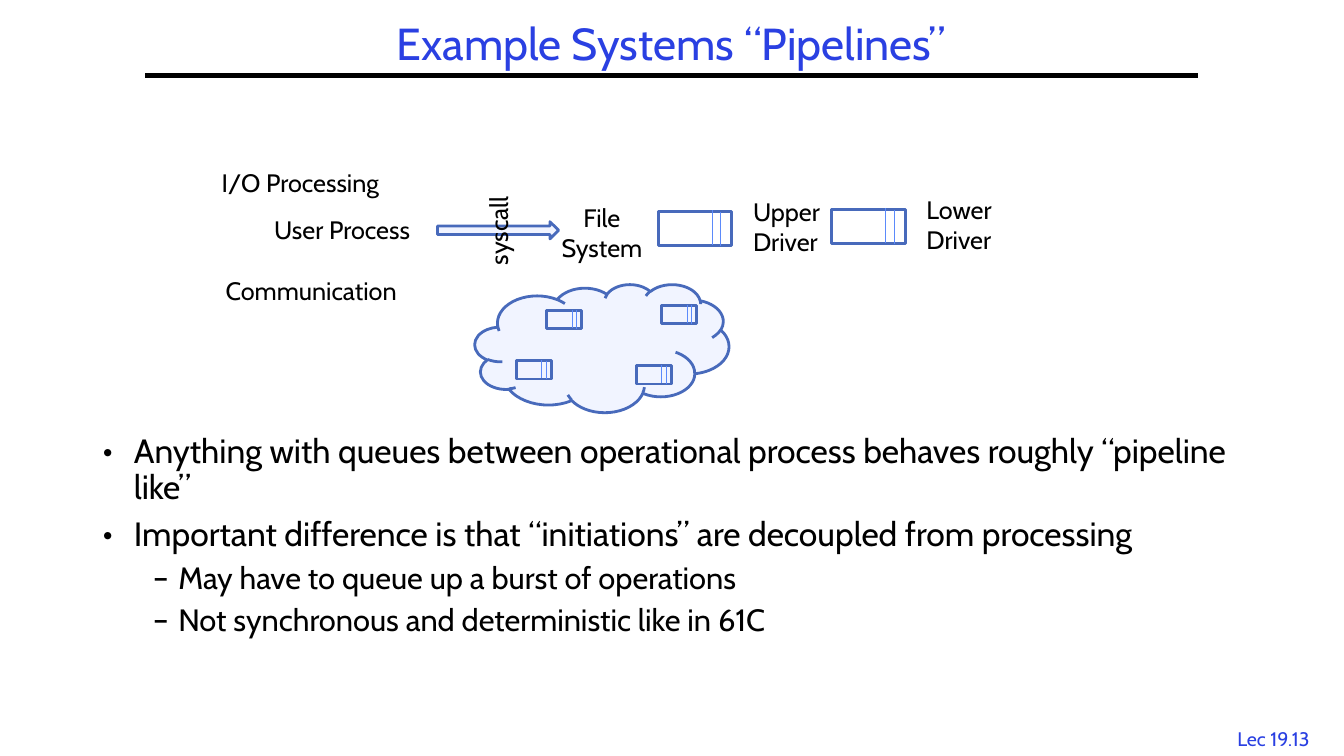
import dataclasses
import pptx
import pptx.dml.color
import pptx.enum.shapes
import pptx.enum.text
import pptx.oxml.ns
import pptx.util
from lxml import etree

Inches = pptx.util.Inches
Pt = pptx.util.Pt
Shape = pptx.enum.shapes.MSO_SHAPE
Align = pptx.enum.text.PP_ALIGN
Anchor = pptx.enum.text.MSO_ANCHOR
AutoSize = pptx.enum.text.MSO_AUTO_SIZE
qn = pptx.oxml.ns.qn


@dataclasses.dataclass(frozen=True)
class Theme:
    """Colours, font and type sizes of the slide."""
    font: str = "Cabin"
    accent: str = "2A40E2"
    ink: str = "000000"
    outline: str = "486ABB"
    divider: str = "5B8AFB"
    tint: str = "F1F4FF"
    title: int = 32
    point: int = 24
    subpoint: int = 22
    label: int = 18
    footer: int = 14


THEME = Theme()


def rgb(value):
    """Turn a hex string into a colour."""
    return pptx.dml.color.RGBColor.from_string(value)


def add_text(slide, box, text, size=THEME.label, color=THEME.ink, align=Align.LEFT,
             anchor=Anchor.TOP, wrap=False, grow=True, rotation=0):
    """Add a text box with one paragraph per line of text."""
    holder = slide.shapes.add_textbox(*map(Inches, box))
    holder.rotation = rotation
    frame = holder.text_frame
    frame.word_wrap = wrap
    frame.auto_size = AutoSize.SHAPE_TO_FIT_TEXT if grow else AutoSize.NONE
    frame.vertical_anchor = anchor
    for index, line in enumerate(text.split("\n")):
        paragraph = frame.paragraphs[0] if index == 0 else frame.add_paragraph()
        paragraph.alignment = align
        run = paragraph.add_run()
        run.text = line
        run.font.name = THEME.font
        run.font.size = Pt(size)
        run.font.color.rgb = rgb(color)
    return frame


def add_line(shapes, start, end, color, width):
    """Add a straight line without a shadow."""
    line = shapes.add_connector(pptx.enum.shapes.MSO_CONNECTOR.STRAIGHT,
                                *map(Inches, (*start, *end)))
    line.line.color.rgb = rgb(color)
    line.line.width = Pt(width)
    etree.SubElement(line._element.spPr, qn("a:effectLst"))


def add_outlined(shapes, kind, box, fill=None):
    """Add a preset shape with the diagram's outline."""
    shape = shapes.add_shape(kind, *map(Inches, box))
    shape.shadow.inherit = False
    if fill:
        shape.fill.solid()
        shape.fill.fore_color.rgb = rgb(fill)
    else:
        shape.fill.background()
    shape.line.color.rgb = rgb(THEME.outline)
    shape.line.width = Pt(2)


def add_queue(slide, box):
    """Add a queue: a box with two dividers near its right end."""
    left, top, width, height = box
    queue = slide.shapes.add_group_shape().shapes
    add_outlined(queue, Shape.RECTANGLE, box)
    for across, lift in ((0.85, 0), (0.73, 0.04)):
        x, y = left + across * width, top - lift * height
        add_line(queue, (x, y), (x, y + height), THEME.divider, 0.75)


def add_heading(slide, box):
    """Add the title and the rule below it."""
    left, top, width, height = box
    frame = add_text(slide, box, "Example Systems “Pipelines”", size=THEME.title,
                     color=THEME.accent, align=Align.CENTER, anchor=Anchor.MIDDLE,
                     wrap=True, grow=False)
    frame.paragraphs[0].line_spacing = 0.9
    add_line(slide.shapes, (left, top + height), (left + width, top + height), THEME.ink, 3)


def add_io_pipeline(slide, box):
    """Add the I/O pipeline from the user process to the lower driver."""
    left, top, _, _ = box
    add_text(slide, (left, top, 1.86, 0.4), "I/O Processing")
    add_text(slide, (left + 0.52, top + 0.47, 1.72, 0.4), "User Process")
    add_outlined(slide.shapes, Shape.RIGHT_ARROW, (left + 2.24, top + 0.59, 1.2, 0.17), THEME.tint)
    add_text(slide, (left + 2.36, top + 0.44, 0.96, 0.4), "syscall", rotation=270)
    add_text(slide, (left + 3.35, top + 0.35, 1.04, 0.71), "File\nSystem", align=Align.CENTER)
    for x, y, driver in ((4.43, 0.49, "Upper Driver"), (6.15, 0.47, "Lower Driver")):
        add_queue(slide, (left + x, top + y, 0.73, 0.34))
        add_text(slide, (left + x + 0.84, top + y - 0.2, 0.92, 0.71), driver, wrap=True)


def add_network(slide, box):
    """Add the communication label and the cloud of queues."""
    left, top, _, _ = box
    add_text(slide, (left, top, 1.96, 0.4), "Communication")
    cloud_left, cloud_top = left + 2.57, top + 0.14
    add_outlined(slide.shapes, Shape.CLOUD, (cloud_left, cloud_top, 2.52, 1.27), THEME.tint)
    for x, y in ((0.41, 0.76), (0.71, 0.26), (1.6, 0.81), (1.85, 0.21)):
        add_queue(slide, (cloud_left + x, cloud_top + y, 0.35, 0.18))


def add_points(slide, box):
    """Add the bulleted points."""
    points = (
        (0, "Anything with queues between operational process behaves roughly “pipeline like”"),
        (0, "Important difference is that “initiations” are decoupled from processing"),
        (1, "May have to queue up a burst of operations"),
        (1, "Not synchronous and deterministic like in 61C"),
    )
    styles = (("•", 0.31, 0.31, THEME.point), ("–", 0.75, 0.25, THEME.subpoint))
    frame = add_text(slide, box, "\n".join(text for _, text in points), wrap=True, grow=False)
    for index, (paragraph, (level, _)) in enumerate(zip(frame.paragraphs, points)):
        mark, margin, hanging, size = styles[level]
        properties = paragraph._p.get_or_add_pPr()
        properties.set("marL", str(Inches(margin)))
        properties.set("indent", str(-Inches(hanging)))
        etree.SubElement(properties, qn("a:buFont")).set("typeface", THEME.font)
        etree.SubElement(properties, qn("a:buChar")).set("char", mark)
        paragraph.level = level
        paragraph.line_spacing = 0.9
        if index:
            paragraph.space_before = Pt(0.3 * size)
        paragraph.runs[0].font.size = Pt(size)


def main():
    """Build the slide and save it."""
    deck = pptx.Presentation()
    deck.slide_width, deck.slide_height = Inches(13.33), Inches(7.5)
    slide = deck.slides.add_slide(deck.slide_layouts[6])
    add_heading(slide, (1.44, 0.17, 10.44, 0.58))
    add_io_pipeline(slide, (2.1, 1.61, 7.9, 1.06))
    add_network(slide, (2.14, 2.68, 5.09, 1.41))
    add_points(slide, (0.92, 4.26, 11.5, 2.79))
    add_text(slide, (12.09, 7.16, 1.08, 0.33), "Lec 19.13", size=THEME.footer,
             color=THEME.accent, align=Align.CENTER)
    deck.save("out.pptx")


if __name__ == "__main__":
    main()
